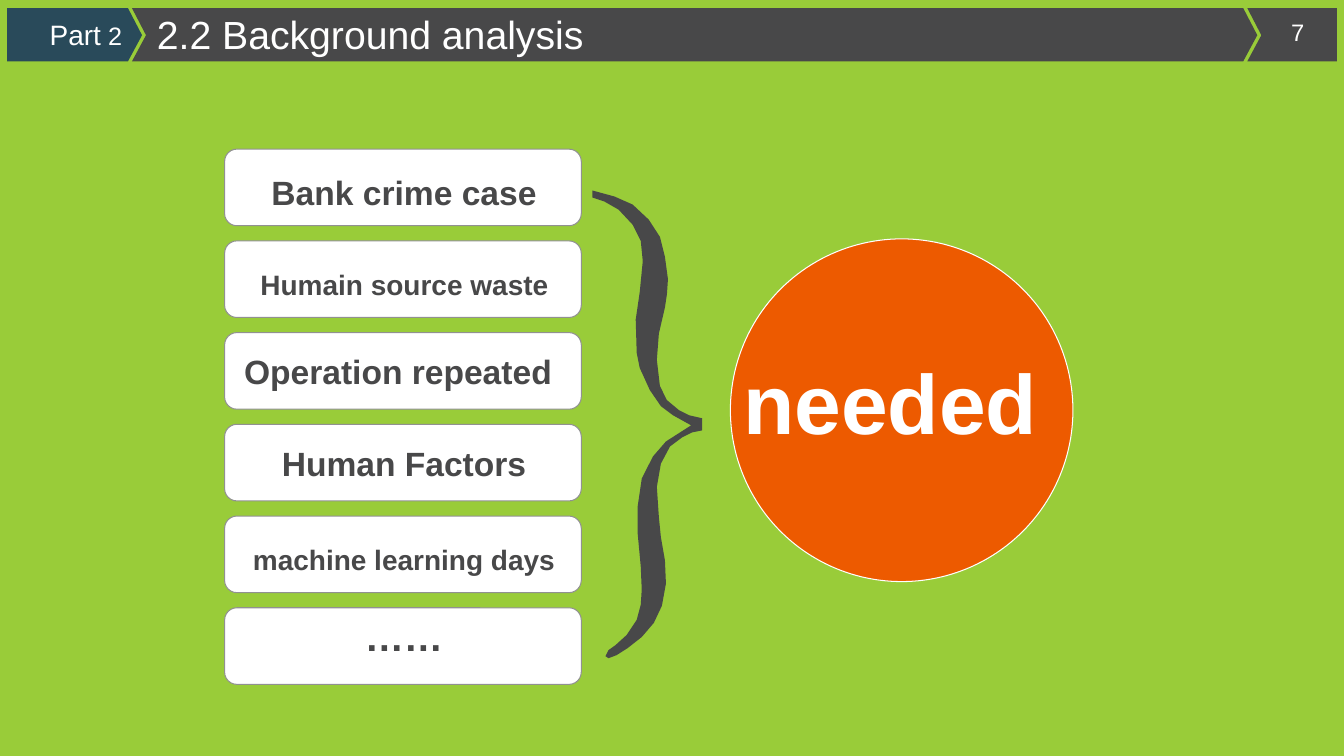
from pptx import Presentation
from pptx.dml.color import RGBColor
from pptx.enum.shapes import MSO_SHAPE as Shape
from pptx.enum.text import PP_ALIGN as Align
from pptx.util import Inches, Pt

GREEN, NAVY, GREY = "99CC39", "294A5A", "484849"
WHITE, ORANGE, BORDER = "FFFFFF", "ED5A00", "919191"

# Header band: top, tip of the chevrons, bottom
TOP, TIP, BOTTOM = 0.08, 0.35, 0.61
NOTCH = 0.14

# Reasons: wording, size, text left, top and width
REASONS = [
    ("Bank crime case", 24, 2.25, 1.66, 3.52),
    ("Humain source waste", 20, 2.01, 2.6, 4.01),
    ("Operation repeated", 24, 2.19, 3.43, 3.52),
    ("Human Factors", 24, 2.25, 4.34, 3.52),
    ("machine learning days", 20, 2.25, 5.33, 3.52),
    ("……", 28, 2.25, 6.03, 3.52),
]
CARD_LEFT, CARD_TOP, CARD_PITCH = 2.23, 1.48, 0.91
CARD_WIDTH, CARD_HEIGHT = 3.54, 0.76

# Brace outline: right edge downwards, then left edge upwards
BRACE = [
    (5.88, 1.96), (5.88, 1.89), (6.1, 1.95), (6.28, 2.03), (6.44, 2.18),
    (6.55, 2.35), (6.6, 2.55), (6.63, 2.77), (6.62, 2.92), (6.6, 3.05),
    (6.54, 3.31), (6.52, 3.57), (6.55, 3.83), (6.62, 3.97), (6.74, 4.07),
    (6.84, 4.12), (6.97, 4.15), (6.97, 4.27), (6.87, 4.29), (6.77, 4.34),
    (6.65, 4.43), (6.56, 4.6), (6.52, 4.83), (6.54, 5.13), (6.56, 5.33),
    (6.6, 5.56), (6.61, 5.79), (6.57, 6.01), (6.49, 6.18), (6.37, 6.32),
    (6.23, 6.43), (6.12, 6.5), (6.04, 6.53), (6.01, 6.51), (6.04, 6.45),
    (6.11, 6.4), (6.22, 6.3), (6.32, 6.15), (6.36, 6.0), (6.37, 5.85),
    (6.36, 5.62), (6.33, 5.3), (6.33, 5.02), (6.37, 4.75), (6.48, 4.53),
    (6.61, 4.38), (6.86, 4.22), (6.68, 4.12), (6.56, 4.03), (6.45, 3.87),
    (6.35, 3.65), (6.32, 3.5), (6.31, 3.17), (6.35, 2.9), (6.38, 2.59),
    (6.36, 2.39), (6.28, 2.23), (6.14, 2.08), (6.0, 2.0),
]


def color(value):
    return RGBColor.from_string(value)


def paint(item, fill, border=None):
    item.shadow.inherit = False
    item.fill.solid()
    item.fill.fore_color.rgb = color(fill)
    if border:
        item.line.color.rgb = color(border)
        item.line.width = Pt(0.75)
    else:
        item.line.fill.background()


def add_outline(slide, points, fill):
    start, *others = [(Inches(x), Inches(y)) for x, y in points]
    builder = slide.shapes.build_freeform(*start)
    builder.add_line_segments(others, close=True)
    paint(builder.convert_to_shape(), fill)


def add_preset(slide, kind, box, fill, border):
    item = slide.shapes.add_shape(kind, *map(Inches, box))
    paint(item, fill, border)
    return item


def add_text(slide, box, pieces, tint=WHITE, bold=False, align=Align.LEFT):
    """Pieces are (wording, size) pairs on one line."""
    frame = slide.shapes.add_textbox(*map(Inches, box)).text_frame
    frame.word_wrap = True
    line = frame.paragraphs[0]
    line.alignment = align
    for wording, size in pieces:
        run = line.add_run()
        run.text = wording
        run.font.name = "Arial"
        run.font.size = Pt(size)
        run.font.bold = bold
        run.font.color.rgb = color(tint)


def add_band(slide, left, right, fill, notched, pointed):
    points = [(left, TOP), (right, TOP)]
    if pointed:
        points.append((right + NOTCH, TIP))
    points += [(right, BOTTOM), (left, BOTTOM)]
    if notched:
        points.append((left + NOTCH, TIP))
    add_outline(slide, points, fill)


def add_header(slide):
    add_band(slide, 0.07, 1.27, NAVY, notched=False, pointed=True)
    add_band(slide, 1.31, 12.34, GREY, notched=True, pointed=True)
    add_band(slide, 12.38, 13.27, GREY, notched=True, pointed=False)
    add_text(slide, (12.62, 0.13, 0.52, 0.39), [("7", 17)], align=Align.CENTER)
    add_text(slide, (1.46, 0.05, 5.51, 1.04), [("2.2 Background analysis", 28)])
    add_text(slide, (0.15, 0.12, 1.16, 0.44), [("Part", 20), (" 2", 18)],
             align=Align.RIGHT)


def add_reasons(slide):
    for row, (wording, size, left, top, width) in enumerate(REASONS):
        card = add_preset(slide, Shape.ROUNDED_RECTANGLE,
                          (CARD_LEFT, CARD_TOP + row * CARD_PITCH,
                           CARD_WIDTH, CARD_HEIGHT), WHITE, BORDER)
        card.adjustments[0] = 0.16
        add_text(slide, (left, top, width, 0.5), [(wording, size)],
                 GREY, bold=True, align=Align.CENTER)


def add_conclusion(slide):
    add_preset(slide, Shape.OVAL, (7.25, 2.37, 3.4, 3.4), ORANGE, WHITE)
    add_text(slide, (7.28, 3.43, 4.01, 1.11), [("needed", 60)], bold=True)


def main():
    deck = Presentation()
    deck.slide_width, deck.slide_height = Inches(13.34), Inches(7.5)
    slide = deck.slides.add_slide(deck.slide_layouts[6])
    slide.background.fill.solid()
    slide.background.fill.fore_color.rgb = color(GREEN)

    add_header(slide)
    add_outline(slide, BRACE, GREY)
    add_reasons(slide)
    add_conclusion(slide)
    deck.save("out.pptx")


if __name__ == "__main__":
    main()
